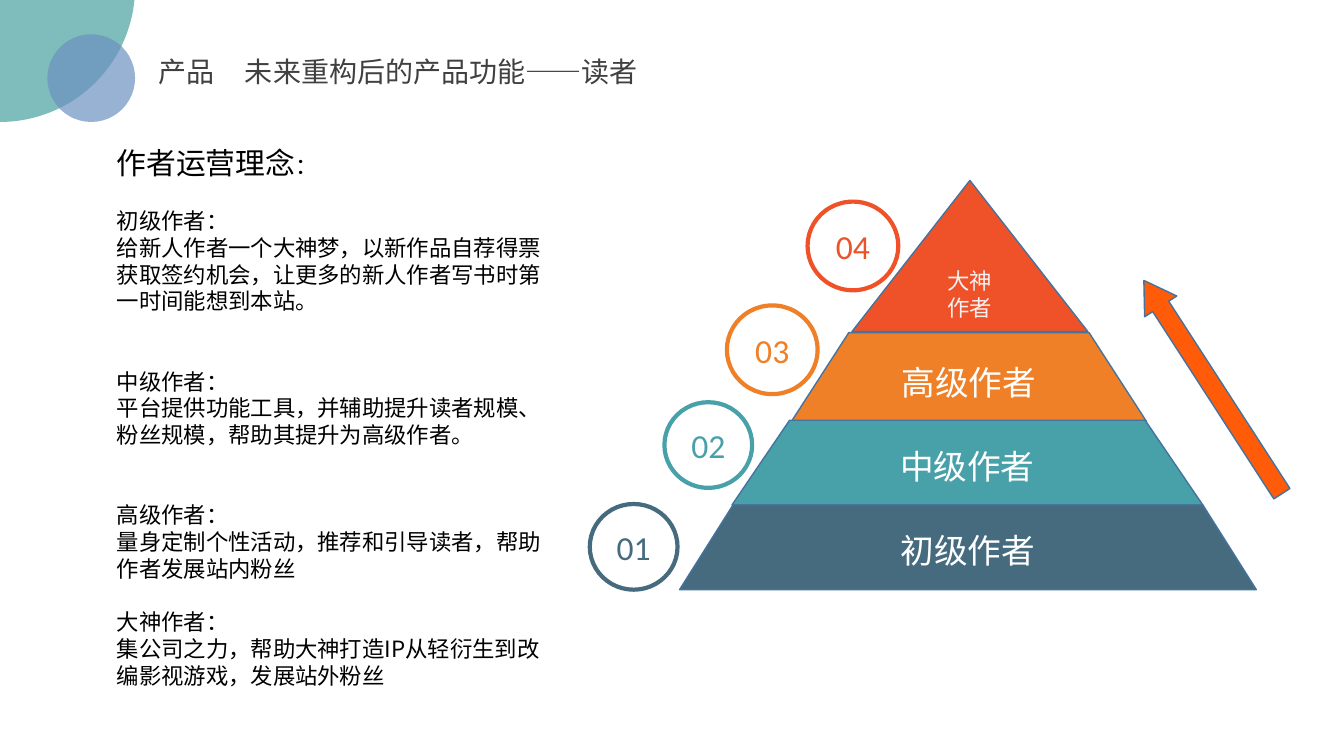
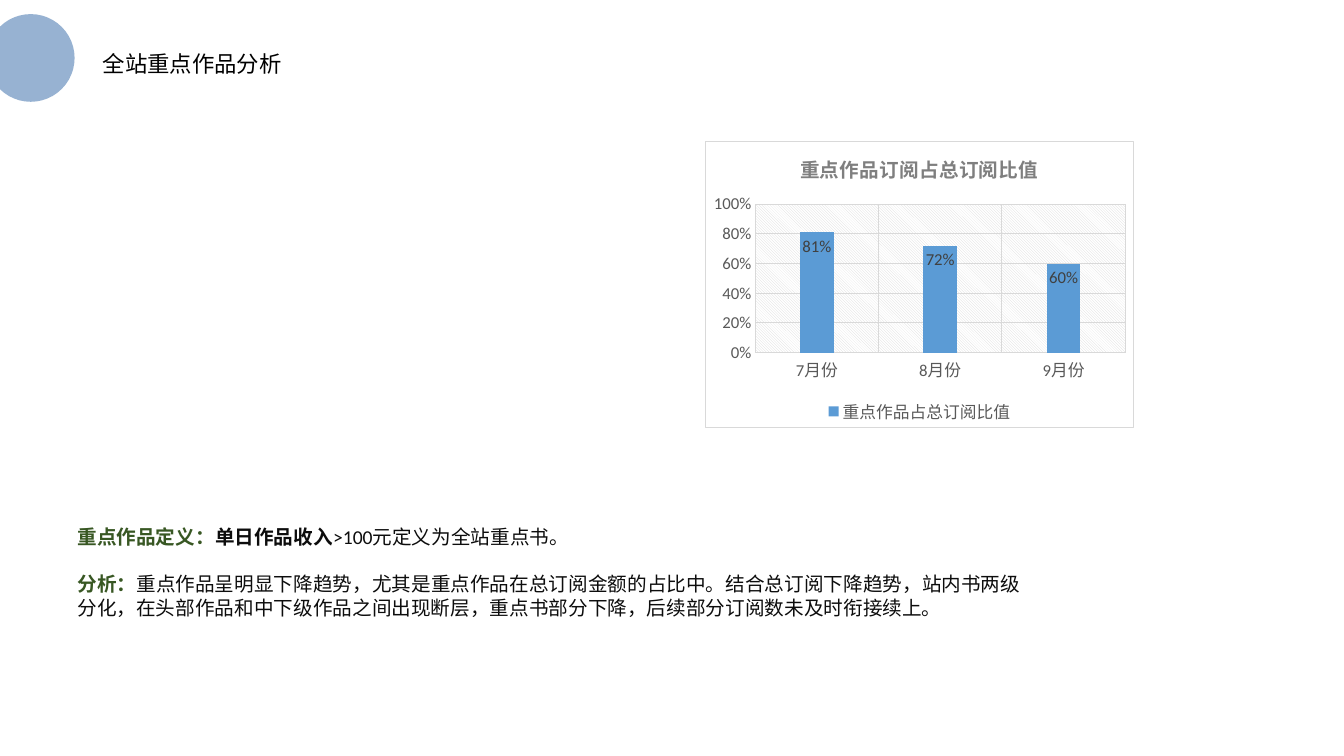
from pptx import Presentation
from pptx import util as u
from pptx.chart.data import CategoryChartData
from pptx.dml.color import RGBColor
from pptx.enum import chart as ch, shapes, text
from pptx.oxml import parse_xml
from pptx.oxml.ns import nsdecls, qn

COLORS = {
    "black": "000000", "ink": "0D0D0D", "title": "404040", "label": "595959",
    "chart_title": "7F7F7F", "grid": "D9D9D9", "white": "FFFFFF", "pale": "F2F2F2",
    "green": "385723", "outline": "43739E", "arrow": "FF5B09", "bar": "5B9BD5",
    "disc": "48A2A0", "badge": "6C92C0",
    "novice": "466B7E", "middle": "48A1A9", "senior": "EF8027", "master": "EF5229",
}
SANS, LATIN = "Noto Sans CJK SC", "Calibri"
BODY_LINE = u.Pt(19.1)
SHAPE = shapes.MSO_SHAPE
CENTER, LEFT = text.PP_ALIGN.CENTER, text.PP_ALIGN.LEFT


# Formatting helpers
def rgb(name):
    return RGBColor.from_string(COLORS[name])


def apply(target, **values):
    for name, value in values.items():
        setattr(target, name, value)


def inches(*lengths):
    return [u.Inches(length) for length in lengths]


def style_font(font, size, color, name=LATIN, bold=False):
    apply(font, size=u.Pt(size), name=name, bold=bold)
    font.color.rgb = rgb(color)


def add_run(paragraph, words, size, color, name=LATIN, bold=False):
    run = paragraph.add_run()
    run.text = words
    style_font(run.font, size, color, name, bold)
    east_asian = parse_xml(f'<a:ea {nsdecls("a")} typeface="{name}"/>')
    run.font._element.append(east_asian)


def write(frame, paragraphs):
    """Each paragraph is (list of run arguments, paragraph format values)."""
    for index, (runs, values) in enumerate(paragraphs):
        paragraph = frame.add_paragraph() if index else frame.paragraphs[0]
        apply(paragraph, **values)
        for run in runs:
            add_run(paragraph, *run)


# Element builders
def add_title(slide, box, runs, spacing, tab=None):
    title = slide.shapes.title
    apply(title, **dict(zip(("left", "top", "width", "height"), inches(*box))))
    apply(title.text_frame, word_wrap=True, auto_size=text.MSO_AUTO_SIZE.NONE,
          vertical_anchor=text.MSO_ANCHOR.MIDDLE)
    write(title.text_frame, [(runs, {"alignment": LEFT, "line_spacing": spacing})])
    if tab:
        stops = f'<a:tabLst {nsdecls("a")}><a:tab pos="{u.Inches(tab)}" algn="l"/></a:tabLst>'
        title.text_frame.paragraphs[0]._p.get_or_add_pPr().append(parse_xml(stops))


def add_textbox(slide, box, paragraphs):
    frame = slide.shapes.add_textbox(*inches(*box)).text_frame
    frame.word_wrap = True
    write(frame, paragraphs)


def add_figure(slide, kind, box, fill=None, line=None, line_width=1,
               adjust=(), paragraphs=()):
    figure = slide.shapes.add_shape(kind, *inches(*box))
    figure.shadow.inherit = False
    for index, value in enumerate(adjust):
        figure.adjustments[index] = value
    if fill:
        figure.fill.solid()
        figure.fill.fore_color.rgb = rgb(fill)
    else:
        figure.fill.background()
    if line:
        figure.line.color.rgb = rgb(line)
        figure.line.width = u.Pt(line_width)
    else:
        figure.line.fill.background()
    figure.text_frame.vertical_anchor = text.MSO_ANCHOR.MIDDLE
    write(figure.text_frame, paragraphs)
    return figure


def add_disc(slide, left, top, diameter, color):
    """Translucent corner circle."""
    disc = add_figure(slide, SHAPE.OVAL, (left, top, diameter, diameter), color)
    tint = disc._element.spPr.find(qn("a:solidFill"))[0]
    tint.append(parse_xml(f'<a:alpha {nsdecls("a")} val="70000"/>'))


def add_badge(slide, left, top):
    add_disc(slide, left, top, 0.87, "badge")


def add_share_chart(slide, box):
    data = CategoryChartData(number_format="0%")
    data.categories = ["7月份", "8月份", "9月份"]
    data.add_series("重点作品占总订阅比值", (0.81, 0.72, 0.6))
    chart = slide.shapes.add_chart(
        ch.XL_CHART_TYPE.COLUMN_CLUSTERED, *inches(*box), data).chart
    style_font(chart.font, 10, "black")

    # Title and legend
    chart.has_title = True
    write(chart.chart_title.text_frame,
          [([("重点作品订阅占总订阅比值", 14, "chart_title", LATIN, True)], {})])
    chart.has_legend = True
    apply(chart.legend, position=ch.XL_LEGEND_POSITION.BOTTOM, include_in_layout=False)
    style_font(chart.legend.font, 12, "label")

    # Axes
    for axis in (chart.category_axis, chart.value_axis):
        apply(axis, has_major_gridlines=True, major_tick_mark=ch.XL_TICK_MARK.NONE,
              minor_tick_mark=ch.XL_TICK_MARK.NONE)
        style_font(axis.tick_labels.font, 12, "label")
        for line in (axis.format.line, axis.major_gridlines.format.line):
            line.color.rgb = rgb("grid")
            line.width = u.Pt(0.75)
    chart.value_axis.format.line.fill.background()
    apply(chart.value_axis, minimum_scale=0, maximum_scale=1, major_unit=0.2)
    apply(chart.value_axis.tick_labels, number_format="0%", number_format_is_linked=False)

    # Columns and their labels
    plot = chart.plots[0]
    apply(plot, gap_width=267, overlap=-43, vary_by_categories=False)
    columns = plot.series[0]
    columns.format.fill.solid()
    columns.format.fill.fore_color.rgb = rgb("bar")
    labels = columns.data_labels
    apply(labels, show_value=True, position=ch.XL_LABEL_POSITION.INSIDE_END,
          number_format="0%", number_format_is_linked=False)
    style_font(labels.font, 12, "title")

    # Hatched plot area, white bordered chart area
    grid, white = (f'<a:srgbClr val="{COLORS[name]}"/>' for name in ("grid", "white"))
    space = chart._chartSpace
    space.chart.plotArea.append(parse_xml(
        f'<c:spPr {nsdecls("c", "a")}><a:pattFill prst="ltDnDiag"><a:fgClr>{grid}</a:fgClr>'
        f'<a:bgClr>{white}</a:bgClr></a:pattFill></c:spPr>'))
    space.chart.addnext(parse_xml(
        f'<c:spPr {nsdecls("c", "a")}><a:solidFill>{white}</a:solidFill>'
        f'<a:ln w="{u.Pt(0.75)}"><a:solidFill>{grid}</a:solidFill></a:ln></c:spPr>'))


# Slides
def build_author_slide(slide):
    add_disc(slide, -1.34, -1.47, 2.68, "disc")
    add_badge(slide, 0.47, 0.34)
    add_title(slide, (1.47, 0.49, 5.15, 0.44),
              [("产品\t未来重构后的产品功能——读者", 20, "title", SANS)], 1.0, tab=0.86)

    # Operating principles
    principles = [
        ("初级作者：", "给新人作者一个大神梦，以新作品自荐得票获取签约机会，"
         "让更多的新人作者写书时第一时间能想到本站。", 1),
        ("中级作者：", "平台提供功能工具，并辅助提升读者规模、粉丝规模，"
         "帮助其提升为高级作者。", 2),
        ("高级作者：", "量身定制个性活动，推荐和引导读者，帮助作者发展站内粉丝", 2),
        ("大神作者：", "集公司之力，帮助大神打造IP从轻衍生到改编影视游戏，发展站外粉丝", 1),
    ]
    paragraphs = [([("作者运营理念", 21.3, "black", SANS), ("：", 16, "black", SANS)],
                   {"line_spacing": u.Pt(25.4)})]
    for level, principle, gap_lines in principles:
        for words, gap in ((level, gap_lines * BODY_LINE), (principle, 0)):
            paragraphs.append(([(words, 16, "black", SANS)],
                               {"line_spacing": BODY_LINE, "space_before": u.Emu(gap)}))
    add_textbox(slide, (1.06, 1.39, 4.52, 5.58), paragraphs)

    # Pyramid, from the top down
    add_figure(slide, SHAPE.ISOSCELES_TRIANGLE, (8.45, 1.79, 2.34, 1.5), "master", "outline",
               paragraphs=[([(words, 16, "pale", SANS)],
                            {"alignment": CENTER, "line_spacing": BODY_LINE})
                           for words in ("大神", "作者")])
    tiers = [
        ("高级作者", "senior", (7.85, 3.3, 3.52, 0.88), 0.646),
        ("中级作者", "middle", (7.26, 4.17, 4.67, 0.84), 0.68),
        ("初级作者", "novice", (6.74, 5.01, 5.72, 0.84), 0.631),
    ]
    for words, color, box, slant in tiers:
        add_figure(slide, SHAPE.TRAPEZOID, box, color, "outline", adjust=[slant],
                   paragraphs=[([(words, 24, "white")], {"alignment": CENTER})])

    # Numbered rings
    rings = [
        ("novice", (5.85, 5, 0.87, 0.85)),
        ("middle", (6.59, 3.99, 0.87, 0.85)),
        ("senior", (7.21, 3.03, 0.9, 0.88)),
        ("master", (8.01, 2, 0.9, 0.88)),
    ]
    for number, (color, box) in enumerate(rings, 1):
        add_figure(slide, SHAPE.OVAL, box, line=color, line_width=3,
                   paragraphs=[([(f"{number:02}", 24, color)], {"alignment": CENTER})])

    # Rising arrow
    rise = add_figure(slide, SHAPE.RIGHT_ARROW, (10.77, 3.65, 2.52, 0.38),
                      "arrow", "outline", adjust=(0.5, 0.808))
    rise.rotation = 237.1


def build_works_slide(slide):
    add_title(slide, (0.92, 0.4, 5.03, 0.5), [("全站重点作品分析", 16, "black")], 0.9)
    add_share_chart(slide, (6.99, 1.4, 4.26, 2.85))
    add_textbox(slide, (0.67, 5.16, 9.64, 1.04), [
        ([("重点作品定义：", 14, "green", LATIN, True),
          ("单日作品收入", 14, "ink", LATIN, True),
          (">100元定义为全站重点书。", 14, "ink")], {}),
        ([("分析：", 14, "green", LATIN, True),
          ("重点作品呈明显下降趋势，尤其是重点作品在总订阅金额的占比中。"
           "结合总订阅下降趋势，站内书两级分化，在头部作品和中下级作品之间出现断层，"
           "重点书部分下降，后续部分订阅数未及时衔接续上。", 14, "ink")],
         {"space_before": u.Pt(17)}),
    ])
    add_badge(slide, -0.13, 0.14)


def main():
    deck = Presentation()
    apply(deck, slide_width=u.Inches(13.33), slide_height=u.Inches(7.5))
    title_only = deck.slide_layouts[5]
    for build in (build_author_slide, build_works_slide):
        build(deck.slides.add_slide(title_only))
    deck.save("out.pptx")


if __name__ == "__main__":
    main()
